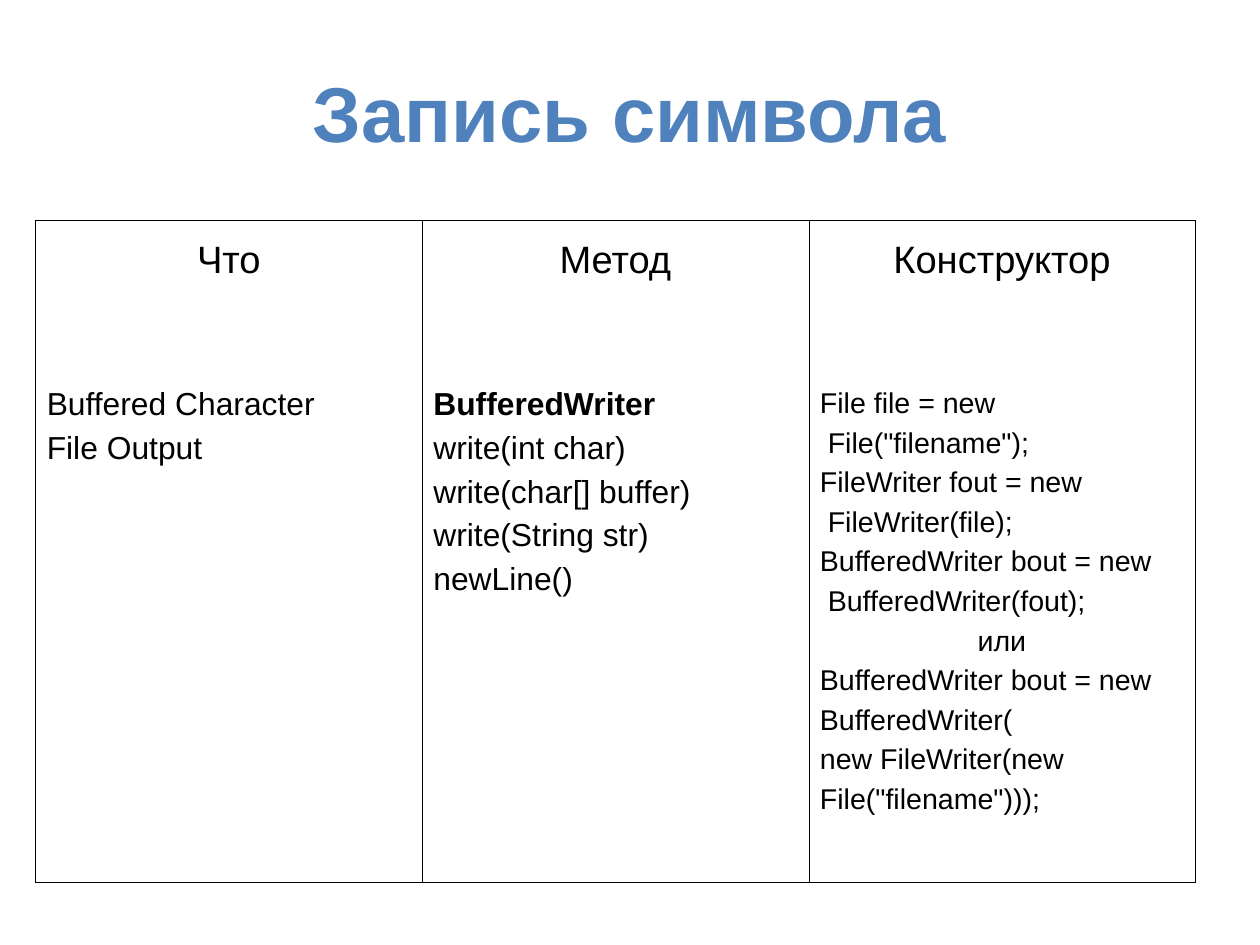
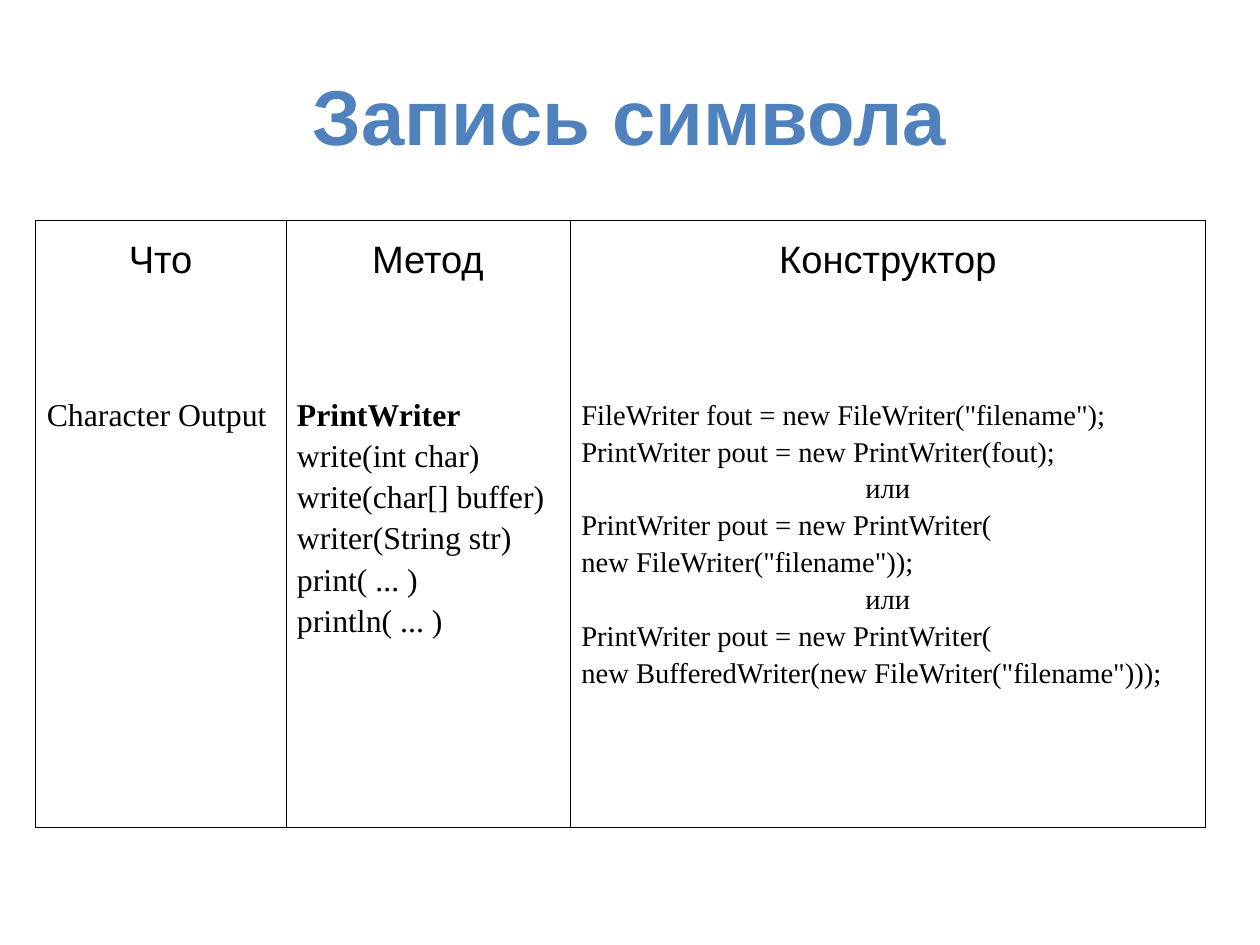
from dataclasses import dataclass

from lxml import etree
from pptx import Presentation
from pptx.dml.color import RGBColor
from pptx.enum.text import MSO_ANCHOR, MSO_AUTO_SIZE, PP_ALIGN
from pptx.oxml.ns import qn
from pptx.util import Cm, Pt

CENTER, LEFT = PP_ALIGN.CENTER, PP_ALIGN.LEFT
MIDDLE, TOP = MSO_ANCHOR.MIDDLE, MSO_ANCHOR.TOP
NO_FIT = MSO_AUTO_SIZE.NONE

TITLE_ONLY = 5
BLUE, BLACK = "4F81BD", "000000"
SANS, SERIF = "Arial", "Times New Roman"
TITLE = "Запись символа"
HEADERS = ("Что", "Метод", "Конструктор")
BODY_SIZES = (20, 20, 18)
OR = "или"


@dataclass(frozen=True)
class TextStyle:
    font: str
    line_spacing: float
    gap: float  # space between paragraphs, as a share of the font size


@dataclass(frozen=True)
class MethodSlide:
    title_inset: float
    widths: tuple[float, ...]
    heights: tuple[float, float]
    style: TextStyle
    columns: tuple[tuple[str, ...], ...]
    bold: str


HEADER_STYLE = TextStyle(SANS, 0.62, 0)

SLIDES = (
    MethodSlide(
        title_inset=0,
        widths=(8.59,) * 3,
        heights=(3.81, 10.9),
        style=TextStyle(SANS, 0.62, 0.69),
        bold="BufferedWriter",
        columns=(
            ("Buffered Character", "File Output"),
            ("BufferedWriter", "write(int char)", "write(char[] buffer)",
             "write(String str)", "newLine()"),
            ("File file = new", ' File("filename");',
             "FileWriter fout = new", " FileWriter(file);",
             "BufferedWriter bout = new", " BufferedWriter(fout);",
             OR,
             "BufferedWriter bout = new", "BufferedWriter(",
             "new FileWriter(new", 'File("filename")));'),
        ),
    ),
    MethodSlide(
        title_inset=0.13,
        widths=(5.56, 6.32, 14.12),
        heights=(4.09, 9.4),
        style=TextStyle(SERIF, 0.58, 0.65),
        bold="PrintWriter",
        columns=(
            ("Character Output",),
            ("PrintWriter", "write(int char)", "write(char[] buffer)",
             "writer(String str)", "print( ... )", "println( ... )"),
            ('FileWriter fout = new FileWriter("filename");',
             "PrintWriter pout = new PrintWriter(fout);",
             OR,
             "PrintWriter pout = new PrintWriter(",
             'new FileWriter("filename"));',
             OR,
             "PrintWriter pout = new PrintWriter(",
             'new BufferedWriter(new FileWriter("filename")));'),
        ),
    ),
)


def rgb(color: str) -> RGBColor:
    return RGBColor.from_string(color)


def format_runs(p, font: str, size: float, color: str, bold: bool = False) -> None:
    for r in p.runs:
        r.font.name, r.font.size, r.font.bold = font, Pt(size), bold
        r.font.color.rgb = rgb(color)


def add_title(s, inset: float) -> None:
    sp = s.shapes.title
    sp.left, sp.top, sp.width, sp.height = Cm(1.4), Cm(0.84), Cm(25.17), Cm(3.48)
    tf = sp.text_frame
    tf.text = TITLE
    tf.auto_size, tf.word_wrap, tf.vertical_anchor = NO_FIT, True, MIDDLE
    tf.margin_left = tf.margin_right = tf.margin_bottom = 0
    tf.margin_top = Cm(inset)
    p = tf.paragraphs[0]
    p.alignment, p.line_spacing = CENTER, 0.93
    format_runs(p, SANS, 49, BLUE, bold=True)


def set_borders(cell, sides: str) -> None:
    """Draw hairlines on the given sides (out of LRTB) and clear the rest."""
    props = cell._tc.get_or_add_tcPr()
    for side in "LRTB":
        ln = etree.SubElement(props, qn(f"a:ln{side}"), w=str(Pt(0.06)))
        if side in sides:
            fill = etree.SubElement(ln, qn("a:solidFill"))
            etree.SubElement(fill, qn("a:srgbClr"), val=BLACK)
        else:
            etree.SubElement(ln, qn("a:noFill"))


def fill_cell(cell, lines: tuple[str, ...], style: TextStyle, size: float,
              sides: str, top: float = 0.13, centered: tuple[str, ...] = (OR,),
              bold: str = "") -> None:
    set_borders(cell, sides)
    cell.fill.background()
    cell.vertical_anchor = TOP
    cell.margin_left = cell.margin_right = Cm(0.25)
    cell.margin_top, cell.margin_bottom = Cm(top), Cm(0.13)
    tf = cell.text_frame
    tf.text = "\n".join(lines)
    for i, p in enumerate(tf.paragraphs):
        p.alignment = CENTER if p.text in centered else LEFT
        p.line_spacing = style.line_spacing
        p.space_before = Pt(size * style.gap if i else 0)
        format_runs(p, style.font, size, BLACK, bold=p.text == bold)


def add_method_table(s, content: MethodSlide) -> None:
    table = s.shapes.add_table(
        2, len(HEADERS), Cm(0.79), Cm(4.9),
        Cm(sum(content.widths)), Cm(sum(content.heights))).table
    table.first_row = table.horz_banding = False
    for row, height in zip(table.rows, content.heights):
        row.height = Cm(height)
    for i, (header, width) in enumerate(zip(HEADERS, content.widths)):
        table.columns[i].width = Cm(width)
        fill_cell(table.cell(0, i), (header,), HEADER_STYLE, 24, "LRT",
                  top=0.71, centered=HEADERS)
        fill_cell(table.cell(1, i), content.columns[i], content.style,
                  BODY_SIZES[i], "LRB", bold=content.bold)


def main() -> None:
    prs = Presentation()
    prs.slide_width, prs.slide_height = Cm(28), Cm(21)
    for content in SLIDES:
        s = prs.slides.add_slide(prs.slide_layouts[TITLE_ONLY])
        add_title(s, content.title_inset)
        add_method_table(s, content)
    prs.save("out.pptx")


if __name__ == "__main__":
    main()
